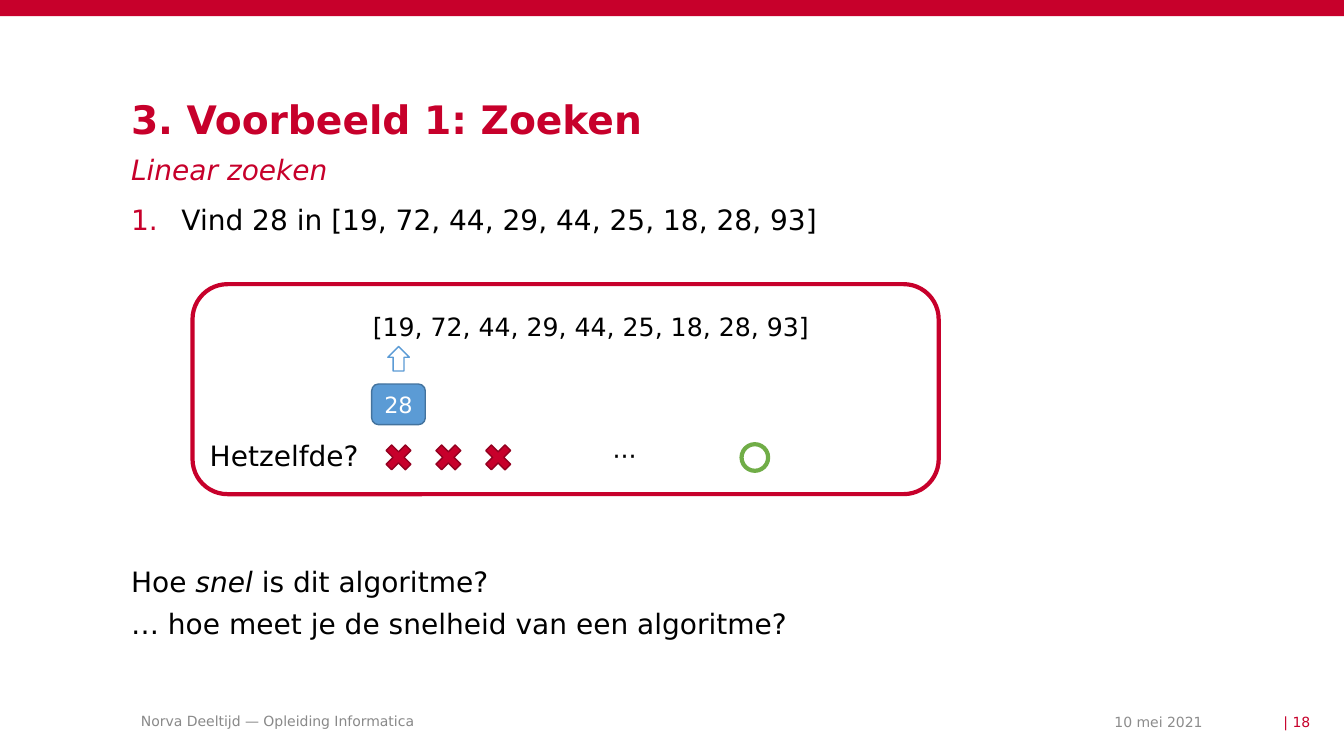
"""Build the slide that explains linear search with an example."""
from lxml.etree import SubElement
from pptx import Presentation
from pptx.dml.color import RGBColor
from pptx.enum.shapes import MSO_SHAPE as Shape
from pptx.enum.text import MSO_ANCHOR as Anchor, MSO_AUTO_SIZE as AutoSize, PP_ALIGN as Align
from pptx.oxml.ns import qn
from pptx.util import Pt

FONT = "DejaVu Sans"
RED, DARK_RED, BLUE, DARK_BLUE = "C7002B", "930020", "5B9BD5", "43739E"
GREEN, BLACK, WHITE, GREY, FOOTER_GREY = "70AD47", "000000", "FFFFFF", "8C8C8C", "898989"

TITLE = "3. Voorbeeld 1: Zoeken"
SUBTITLE = "Linear zoeken"
NUMBERS = "[19, 72, 44, 29, 44, 25, 18, 28, 93]"
TASK = f"Vind 28 in {NUMBERS}"
TARGET = "28"
COMPARE_LABEL = "Hetzelfde?"
SKIPPED = "···"
QUESTIONS = [
    [("Hoe ", False), ("snel", True), (" is dit algoritme?", False)],
    [("… hoe meet je de snelheid van een algoritme?", False)],
]
FOOTER, DATE, PAGE = "Norva Deeltijd — Opleiding Informatica", "10 mei 2021", "| 18"

LEFT = 93.6
MISMATCHES, MISMATCH_LEFT, MISMATCH_STEP = 3, 275, 35.6


def color(hex_code):
    return RGBColor.from_string(hex_code)


def place(part, left, top, width, height):
    part.left, part.top, part.width, part.height = map(Pt, (left, top, width, height))
    return part


def write(part, lines, size=20, ink=BLACK, bold=False, italic=False, align=Align.LEFT,
          anchor=Anchor.TOP, after=0, spacing=1, inset=(0, 0), wrap=True):
    frame = part.text_frame
    frame.word_wrap = wrap
    frame.auto_size = AutoSize.NONE if wrap else AutoSize.SHAPE_TO_FIT_TEXT
    frame.vertical_anchor = anchor
    frame.margin_left = frame.margin_right = Pt(inset[0])
    frame.margin_top = frame.margin_bottom = Pt(inset[1])
    if isinstance(lines, str):
        lines = [[(lines, italic)]]
    for index, pieces in enumerate(lines):
        paragraph = frame.add_paragraph() if index else frame.paragraphs[0]
        paragraph.alignment = align
        paragraph.line_spacing = spacing
        paragraph.space_before, paragraph.space_after = Pt(0), Pt(after)
        for words, slanted in pieces:
            run = paragraph.add_run()
            run.text = words
            font = run.font
            font.name, font.size, font.bold, font.italic = FONT, Pt(size), bold, slanted
            font.color.rgb = color(ink)
    return part


def set_bullet(part, indent=0, numbered=False):
    properties = part.text_frame.paragraphs[0]._p.get_or_add_pPr()
    properties.set("marL", str(Pt(indent)))
    properties.set("indent", str(-Pt(indent)))
    if numbered:
        SubElement(SubElement(properties, qn("a:buClr")), qn("a:srgbClr"), val=RED)
        SubElement(properties, qn("a:buFont"), typeface=FONT)
        SubElement(properties, qn("a:buAutoNum"), type="arabicPeriod")
    else:
        SubElement(properties, qn("a:buNone"))


def draw(slide, preset, box, fill=None, line=None, weight=1):
    part = slide.shapes.add_shape(preset, *map(Pt, box))
    part.shadow.inherit = False
    if fill:
        part.fill.solid()
        part.fill.fore_color.rgb = color(fill)
    else:
        part.fill.background()
    if line:
        part.line.color.rgb = color(line)
        part.line.width = Pt(weight)
    else:
        part.line.fill.background()
    return part


def text_box(slide, box, lines, **style):
    return write(slide.shapes.add_textbox(*map(Pt, box)), lines, **style)


def add_headings(slide):
    title, subtitle, task = slide.placeholders
    write(place(title, LEFT, 72, 609, 28), TITLE, size=28, ink=RED, bold=True, spacing=0.9)
    write(place(subtitle, LEFT, 108.7, 610, 28), SUBTITLE, ink=RED, italic=True, after=6)
    set_bullet(subtitle)
    write(place(task, LEFT, 144.7, 765, 28), TASK, after=6)
    set_bullet(task, indent=36, numbered=True)


def add_search(slide):
    draw(slide, Shape.ROUNDED_RECTANGLE, (137.5, 203, 533, 150), WHITE, RED, 3)
    text_box(slide, (259.2, 218.9, 344, 29), NUMBERS, size=18, inset=(7.2, 3.6), wrap=False)
    target = draw(slide, Shape.ROUNDED_RECTANGLE, (265.5, 274.3, 38.3, 29), BLUE, DARK_BLUE)
    write(target, TARGET, size=16, ink=WHITE, align=Align.CENTER, anchor=Anchor.MIDDLE)
    draw(slide, Shape.UP_ARROW, (277, 247.5, 15.4, 17.5), WHITE, BLUE)
    text_box(slide, (149.8, 313.2, 107, 26), COMPARE_LABEL, after=6)
    for index in range(MISMATCHES):
        left = MISMATCH_LEFT + index * MISMATCH_STEP
        cross = draw(slide, Shape.CROSS, (left, 317, 19.4, 19.4), RED, DARK_RED)
        cross.adjustments[0] = 0.355
        cross.rotation = 315
    text_box(slide, (430.5, 311, 34.6, 29), SKIPPED, size=18, inset=(7.2, 3.6), wrap=False)
    draw(slide, Shape.OVAL, (529.7, 317.3, 19, 19), line=GREEN, weight=3)


def add_footer(slide):
    small = dict(size=10, anchor=Anchor.MIDDLE)
    text_box(slide, (LEFT, 506, 482, 17.3), FOOTER, ink=FOOTER_GREY, inset=(7.2, 3.6), **small)
    text_box(slide, (643, 507, 216, 17.3), DATE, ink=GREY, align=Align.RIGHT, **small)
    text_box(slide, (872, 507, 64, 17.3), PAGE, ink=RED, align=Align.RIGHT, **small)


def main():
    deck = Presentation()
    deck.slide_width, deck.slide_height = Pt(960), Pt(540)
    slide = deck.slides.add_slide(deck.slide_layouts.get_by_name("Two Content"))
    draw(slide, Shape.RECTANGLE, (0, 0, 960, 11.5), RED)
    add_headings(slide)
    add_search(slide)
    text_box(slide, (LEFT, 403.2, 495, 73), QUESTIONS, after=6)
    add_footer(slide)
    deck.save("out.pptx")


if __name__ == "__main__":
    main()
